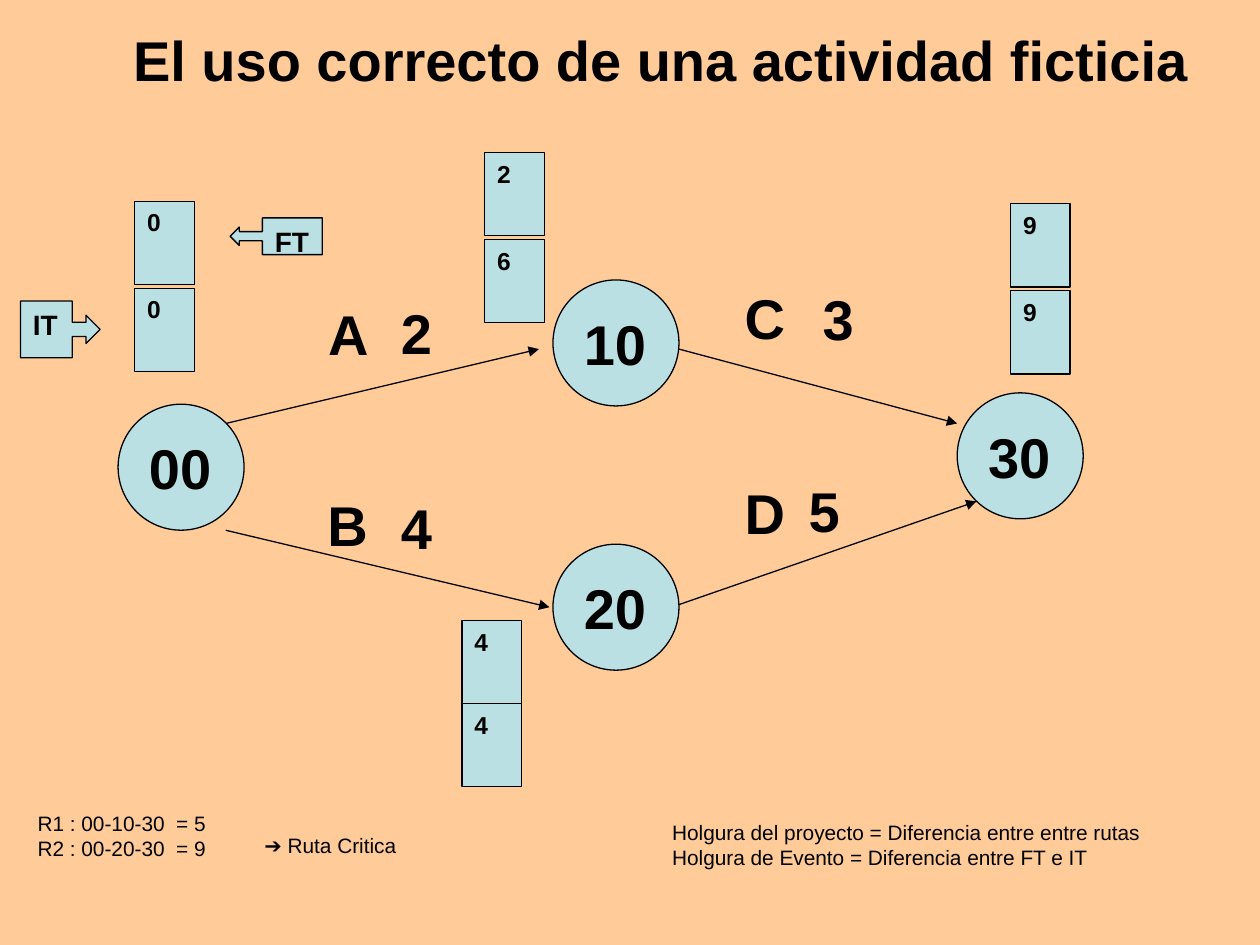
from lxml import etree
from pptx import Presentation
from pptx.dml.color import RGBColor
from pptx.enum.shapes import MSO_CONNECTOR, MSO_SHAPE
from pptx.enum.text import MSO_ANCHOR, PP_ALIGN
from pptx.oxml.ns import qn
from pptx.util import Pt

PEACH = RGBColor(0xFF, 0xCC, 0x99)
AQUA = RGBColor(0xBB, 0xE0, 0xE3)
BLACK = RGBColor(0, 0, 0)
STRAIGHT = MSO_CONNECTOR.STRAIGHT
RECT = MSO_SHAPE.RECTANGLE
OVAL = MSO_SHAPE.OVAL
LEFT_CALLOUT = MSO_SHAPE.LEFT_ARROW_CALLOUT
RIGHT_CALLOUT = MSO_SHAPE.RIGHT_ARROW_CALLOUT
TOP, MIDDLE = MSO_ANCHOR.TOP, MSO_ANCHOR.MIDDLE
LEFT = PP_ALIGN.LEFT

NODE = 72
CELL_W, CELL_H = 34, 47.5
NODES = [("10", 316, 160), ("20", 316, 311), ("00", 67.5, 231), ("30", 547, 224.5)]
ARROWS = [
    (129, 242, 308, 199.5),
    (129, 303, 314, 347),
    (388, 199.5, 547, 242),
    (388, 345.5, 558, 286.5),
]
LABELS = [
    ("A", 180.5, 167.5), ("2", 222, 167),
    ("B", 180, 276.5), ("4", 222, 278.5),
    ("C", 418.5, 158.5), ("3", 463, 159),
    ("D", 418.5, 270), ("5", 455, 268.5),
]
TIMES = [
    (("0", "0"), 77, 115, 49.7),
    (("2", "6"), 277, 87.2, 49.7),
    (("9", "9"), 577.5, 116.5, 49.7),
    (("4", "4"), 264, 354.5, CELL_H),
]


def write(sp, lines, size, bold=True, anchor=TOP, wrap=True):
    """Fill a shape with left-aligned black lines of text."""
    tf = sp.text_frame
    tf.text = "\n".join(lines)
    tf.word_wrap = wrap
    tf.vertical_anchor = anchor
    for p in tf.paragraphs:
        p.alignment = LEFT
        for r in p.runs:
            r.font.name = "Arial"
            r.font.size = Pt(size)
            r.font.bold = bold
            r.font.color.rgb = BLACK


def add_text(s, lines, box, size, bold=True, wrap=True):
    """Place a text box."""
    sp = s.shapes.add_textbox(*map(Pt, box))
    write(sp, lines, size, bold, wrap=wrap)


def add_block(s, kind, text, box, size, anchor=TOP):
    """Place an outlined aqua shape with its text and return it."""
    sp = s.shapes.add_shape(kind, *map(Pt, box))
    sp.shadow.inherit = False
    sp.fill.solid()
    sp.fill.fore_color.rgb = AQUA
    sp.line.color.rgb = BLACK
    sp.line.width = Pt(0.75)
    write(sp, [text], size, anchor=anchor)
    return sp


def add_arrow(s, ends):
    """Draw an activity arrow from its start to its end event."""
    cx = s.shapes.add_connector(STRAIGHT, *map(Pt, ends))
    cx.line.color.rgb = BLACK
    cx.line.width = Pt(0.75)
    etree.SubElement(cx.line._get_or_add_ln(), qn("a:tailEnd"), type="triangle")
    etree.SubElement(cx._element.spPr, qn("a:effectLst"))


def add_times(s, values, left, top, pitch):
    """Stack the FT and IT cells of one event."""
    for i, value in enumerate(values):
        add_block(s, RECT, value, (left, top + i * pitch, CELL_W, CELL_H), 14)


def add_callout(s, kind, text, box):
    """Place an arrow callout that names a cell."""
    sp = add_block(s, kind, text, box, 16)
    for i, value in enumerate((0.25, 0.25, 0.25, 0.65)):
        sp.adjustments[i] = value


def add_network(s):
    """Draw the events, activities and times of the project network."""
    for ends in ARROWS:
        add_arrow(s, ends)
    for text, left, top in NODES:
        add_block(s, OVAL, text, (left, top, NODE, NODE), 32, MIDDLE)
    for text, left, top in LABELS:
        add_text(s, [text], (left, top, 33.5, 46), 32)
    for times in TIMES:
        add_times(s, *times)
    add_callout(s, LEFT_CALLOUT, "FT", (131.5, 124.5, 52.7, 21))
    add_callout(s, RIGHT_CALLOUT, "IT", (11.7, 172, 45.5, 32.4))


def add_notes(s):
    """Write the routes and slack definitions below the network."""
    routes = ["R1 : 00-10-30  = 5", "R2 : 00-20-30  = 9"]
    slack = ["Holgura del proyecto = Diferencia entre entre rutas",
             "Holgura de Evento = Diferencia entre FT e IT"]
    add_text(s, routes, (14.4, 459.5, 147, 37.5), 11.9, False)
    add_text(s, ["➔ Ruta Critica"], (144, 472.5, 111.5, 24), 11.9, False)
    add_text(s, slack, (377, 465, 329, 37.5), 11.9, False)


def main():
    """Build the slide and save it."""
    prs = Presentation()
    prs.slide_width, prs.slide_height = Pt(720), Pt(540)
    s = prs.slides.add_slide(prs.slide_layouts[6])
    s.background.fill.solid()
    s.background.fill.fore_color.rgb = PEACH
    add_text(s, ["El uso correcto de una actividad ficticia"],
             (69, 10.8, 618, 46), 32, wrap=False)
    add_network(s)
    add_notes(s)
    prs.save("out.pptx")


if __name__ == "__main__":
    main()
